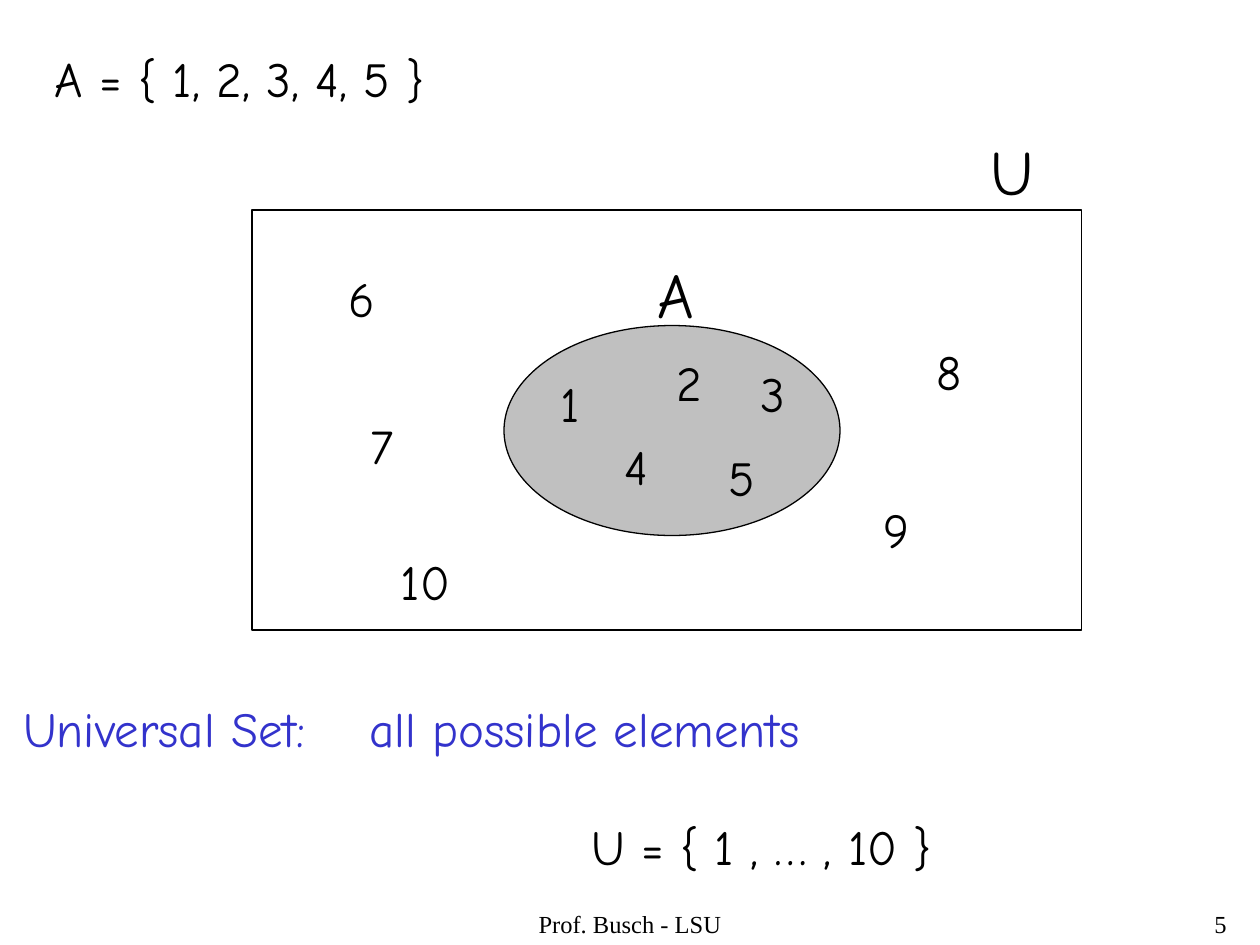
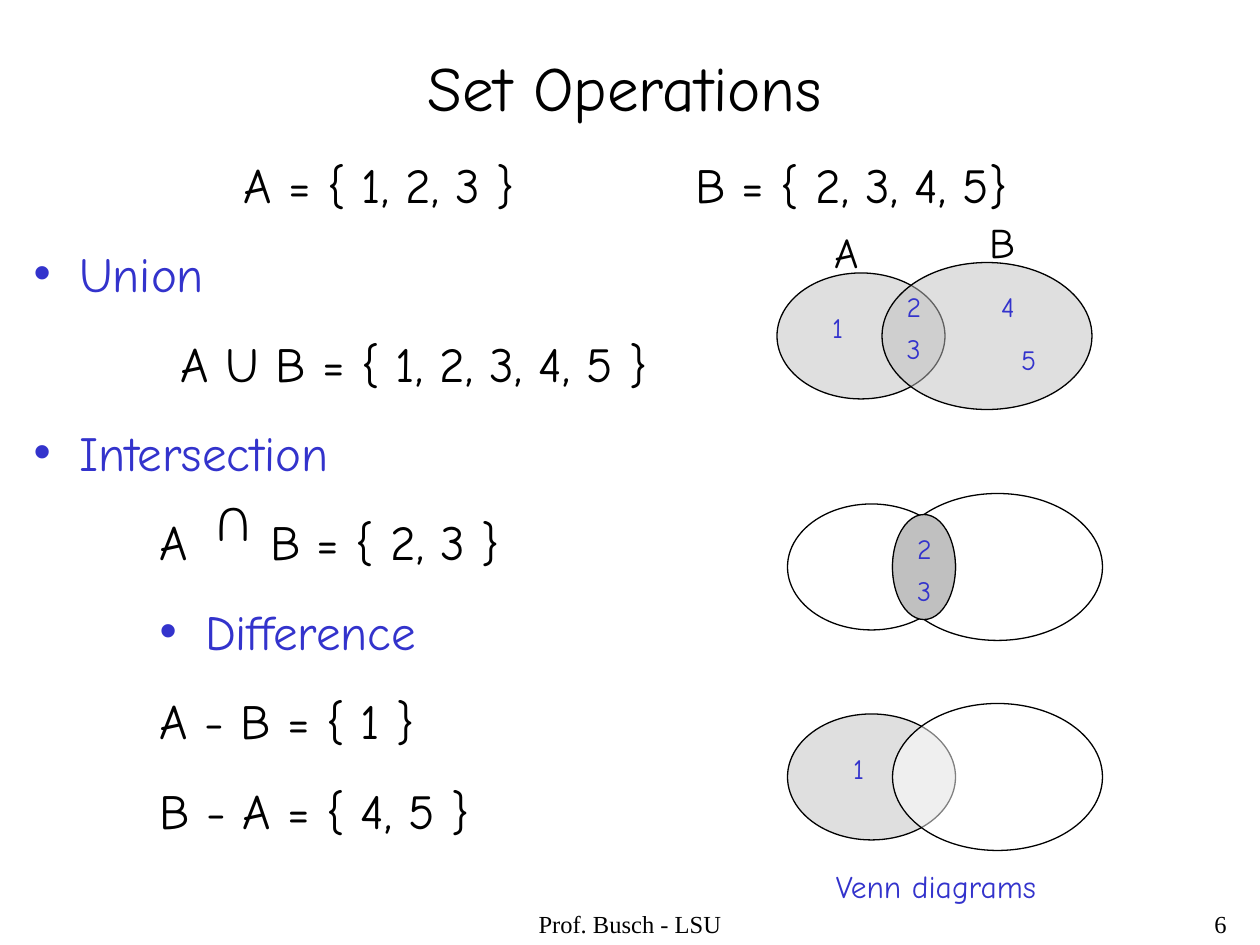
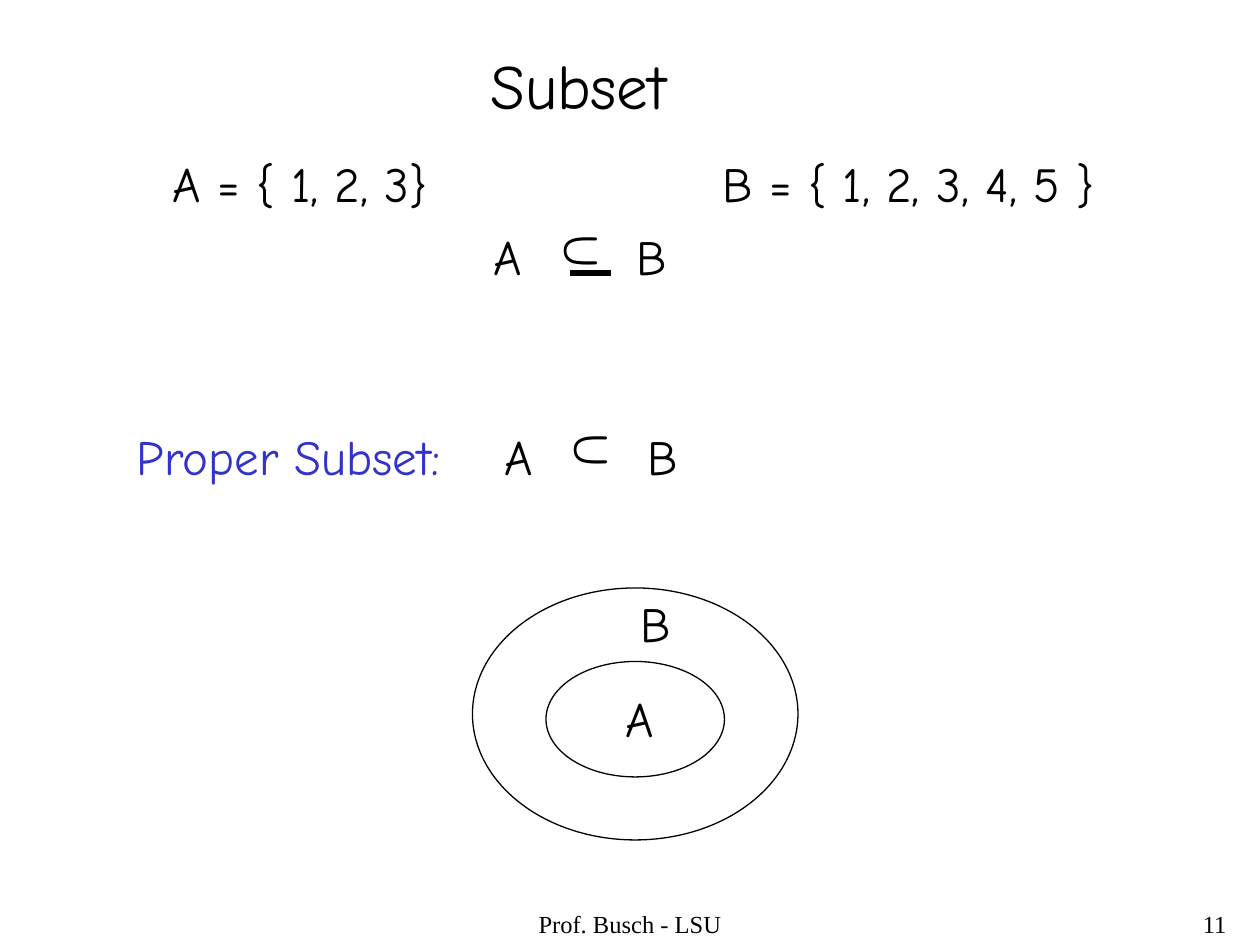
"""Build three slides on sets: universal set, set operations and subset."""
from lxml import etree
from pptx import Presentation
from pptx.dml.color import RGBColor
from pptx.enum import shapes, text
from pptx.oxml import ns
from pptx.util import Pt

BLACK = RGBColor(0, 0, 0)
BLUE = RGBColor(0x33, 0x33, 0xCC)
GRAY = RGBColor(0xC0, 0xC0, 0xC0)
WHITE = RGBColor(255, 255, 255)
FONT, SERIF = "Comic Neue", "Times New Roman"
LEFT, MID, RIGHT = text.PP_ALIGN.LEFT, text.PP_ALIGN.CENTER, text.PP_ALIGN.RIGHT
OVAL, RECT = shapes.MSO_SHAPE.OVAL, shapes.MSO_SHAPE.RECTANGLE
FOOT = "Prof. Busch - LSU"
GAP = 17.5
HANG = 26

UNIV = {
    "num": 5,
    "title": ("A = { 1, 2, 3, 4, 5 }", (24, 24, 648, 41), 28, LEFT),
    "box": (6, 395.5, 580, 108),
    "body": [
        {"words": "Universal Set:", "color": BLUE},
        {"words": "U = { 1 , … , 10 }", "left": 324.5, "gap": 33.6},
    ],
}
NUMS = [("1", 313, 210), ("2", 379.5, 198), ("3", 427.5, 204), ("4", 350, 246),
        ("5", 409, 252), ("6", 192, 150), ("7", 204.5, 234),
        ("8", 528, 191.5), ("9", 498, 282)]

OPS = {
    "num": 6,
    "title": ("Set Operations", (12, 24, 690, 50.4), 36, MID),
    "box": (12, 84.5, 690, 398),
    "body": [
        {"words": "A = { 1, 2, 3 }", "left": 120},
        {"words": "Union", "color": BLUE, "left": HANG, "dot": True},
        {"words": "A U B = { 1, 2, 3, 4, 5 }", "left": 84},
        {"words": "Intersection", "color": BLUE, "left": HANG, "dot": True},
        {"words": "A", "left": 72},
        {"words": "Difference", "color": BLUE, "left": 72 + HANG, "dot": True},
        {"words": "A - B = { 1 }", "left": 72},
        {"words": "B - A = { 4, 5 }", "left": 72},
    ],
}
PAIRS = [(444, 156, GRAY, GRAY), (450, 408, GRAY, WHITE), (450, 288, None, None)]
MARKS = [("2", 511, 162), ("3", 511, 186), ("1", 468.5, 174), ("4", 565, 162),
         ("5", 576.5, 192), ("2", 517, 300), ("3", 517, 324), ("1", 480.5, 426)]

SUB = {
    "num": 11,
    "title": ("Subset", (270, 23, 121, 50.4), 36, MID),
    "box": (91.5, 84, 300, 41),
    "body": [{"words": "A = { 1, 2, 3}"}],
}
LINKS = [(275, 126), (281, 240)]


def put(obj, **vals):
    """Set each named attribute on an object."""
    for key, val in vals.items():
        setattr(obj, key, val)


def place(shape, box):
    """Move and size a shape in points."""
    put(shape, **dict(zip(("left", "top", "width", "height"), map(Pt, box))))


def write(par, words, size=28, color=BLACK, font=FONT, align=LEFT,
          left=0, gap=0, dot=False):
    """Fill one paragraph with formatted text."""
    prop = par._p.get_or_add_pPr()
    prop.set("marL", str(Pt(left)))
    prop.set("indent", str(-Pt(HANG) if dot else 0))
    mark = etree.SubElement(prop, ns.qn("a:buChar" if dot else "a:buNone"))
    if dot:
        mark.set("char", "•")
    put(par, alignment=align, space_before=Pt(gap))
    run = par.add_run()
    run.text = words
    put(run.font, size=Pt(size), name=font)
    run.font.color.rgb = color


def frame(shape):
    """Give a shape's text frame the common settings."""
    put(shape.text_frame, word_wrap=True, vertical_anchor=text.MSO_ANCHOR.TOP,
        auto_size=text.MSO_AUTO_SIZE.NONE)
    return shape.text_frame


def label(slide, words, x, y, wide=29, size=28, turn=0, high=None, **look):
    """Add a text box that is one line high."""
    box = slide.shapes.add_textbox(Pt(x), Pt(y), Pt(wide), Pt(high or size * 1.2 + 7.2))
    box.rotation = turn
    write(frame(box).paragraphs[0], words, size, **look)


def draw(slide, kind, box, color=None, alpha=None):
    """Add a thin outlined shape, with an optional fill."""
    shape = slide.shapes.add_shape(kind, *map(Pt, box))
    shape.shadow.inherit = False
    shape.line.color.rgb = BLACK
    shape.line.width = Pt(0.75)
    if color is None:
        shape.fill.background()
        return
    shape.fill.solid()
    shape.fill.fore_color.rgb = color
    if alpha:
        tint = shape.fill._xPr.find(".//" + ns.qn("a:srgbClr"))
        etree.SubElement(tint, ns.qn("a:alpha"), val=str(alpha * 1000))


def start(deck, page):
    """Add a slide with its title, body and footer."""
    slide = deck.slides.add_slide(deck.slide_layouts[1])
    words, box, size, align = page["title"]
    title, body = slide.shapes.title, slide.placeholders[1]
    place(title, box)
    write(frame(title).paragraphs[0], words, size, align=align)
    place(body, page["box"])
    area = frame(body)
    for i, item in enumerate(page["body"]):
        par = area.add_paragraph() if i else area.paragraphs[0]
        write(par, **{"gap": GAP if i else 0, **item})
    foot = {"size": 14, "font": SERIF, "high": 24}
    label(slide, FOOT, 246, 516, 228, align=MID, **foot)
    label(slide, str(page["num"]), 558, 516, 150, align=RIGHT, **foot)
    return slide


def universe(deck):
    """Draw set A inside the universal set."""
    slide = start(deck, UNIV)
    label(slide, "all possible elements", 204.2, 395.5, 280, color=BLUE)
    draw(slide, OVAL, (288, 186, 192, 120), GRAY)
    draw(slide, RECT, (144, 120, 474, 240))
    for num, x, y in NUMS:
        label(slide, num, x, y)
    label(slide, "10", 222, 311.5, 46)
    label(slide, "A", 368.5, 142.5, 35, 36)
    label(slide, "U", 559, 72, 39, 36)


def venn(deck):
    """Draw the three Venn diagrams."""
    slide = start(deck, OPS)
    label(slide, "B = { 2, 3, 4, 5}", 390.2, 84.5, 210)
    label(slide, "B = { 2, 3 }", 147.4, 289, 160)
    label(slide, "U", 114, 281.5, 36, turn=180)
    for x, y, near, far in PAIRS:
        draw(slide, OVAL, (x, y, 96, 72), near, 50)
        draw(slide, OVAL, (x + 60, y - 6, 120, 84), far, 50)
    draw(slide, OVAL, (510, 294, 36, 60), GRAY)
    label(slide, "A", 470, 126, size=24)
    label(slide, "B", 558.5, 120, size=24)
    for num, x, y in MARKS:
        label(slide, num, x, y, 22.5, 16, color=BLUE)
    label(slide, "Venn diagrams", 470.5, 492, 134, 18, color=BLUE)


def subset(deck):
    """Draw the subset relations and the nested sets."""
    slide = start(deck, SUB)
    label(slide, "B = { 1, 2, 3, 4, 5 }", 405.7, 84, 240)
    for x, y in LINKS:
        label(slide, "A", x, y)
        label(slide, "B", x + 81.75, y, 32)
        label(slide, "U", x + 41.5, y - 2.5, 34, turn=90)
    bar = slide.shapes.add_connector(
        shapes.MSO_CONNECTOR.STRAIGHT, Pt(325.5), Pt(156), Pt(349), Pt(156))
    bar.line.color.rgb = BLACK
    bar.line.width = Pt(3)
    etree.SubElement(bar._element.spPr, ns.qn("a:effectLst"))
    label(slide, "Proper Subset:", 71, 240, 192, color=BLUE)
    draw(slide, OVAL, (312, 378, 102, 66))
    draw(slide, OVAL, (270, 336, 186, 144))
    label(slide, "A", 350.5, 390, 30)
    label(slide, "B", 359, 335.5, 32)


def main():
    """Build and save the slides."""
    deck = Presentation()
    put(deck, slide_width=Pt(720), slide_height=Pt(540))
    for make in (universe, venn, subset):
        make(deck)
    deck.save("out.pptx")


if __name__ == "__main__":
    main()
